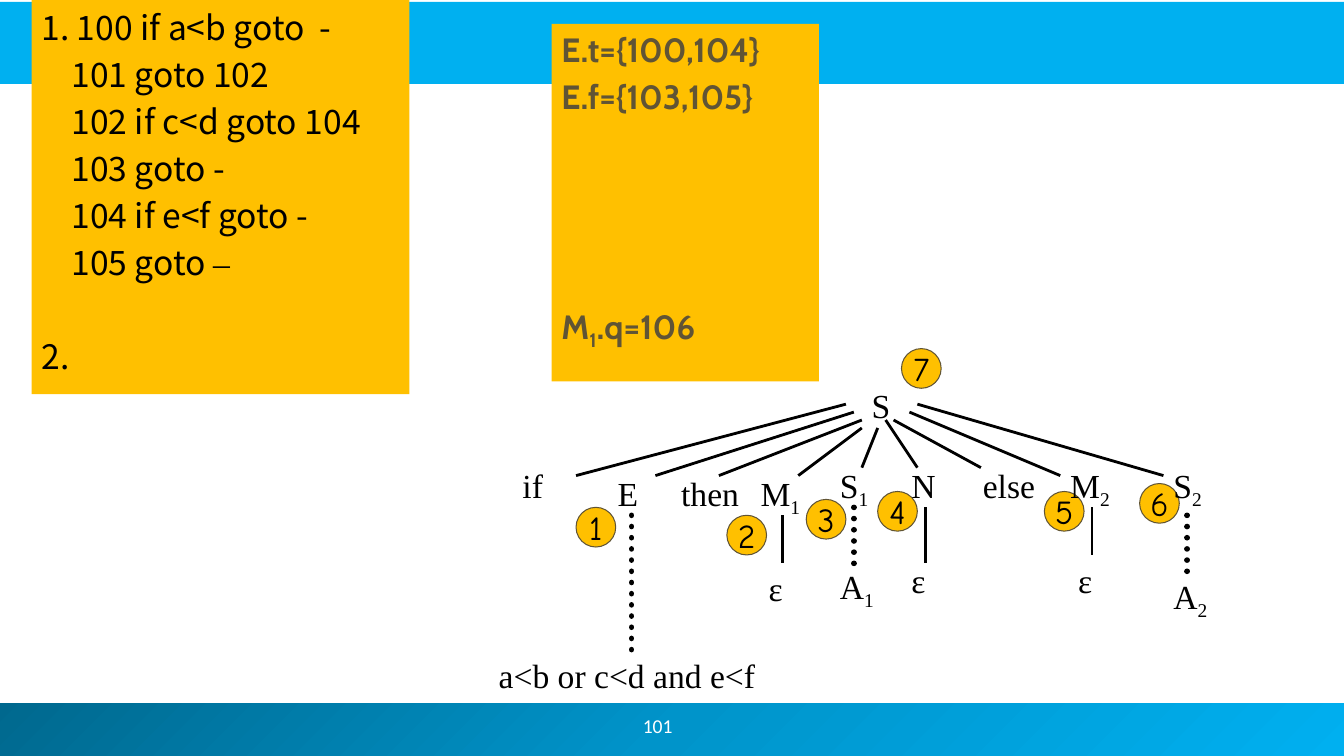
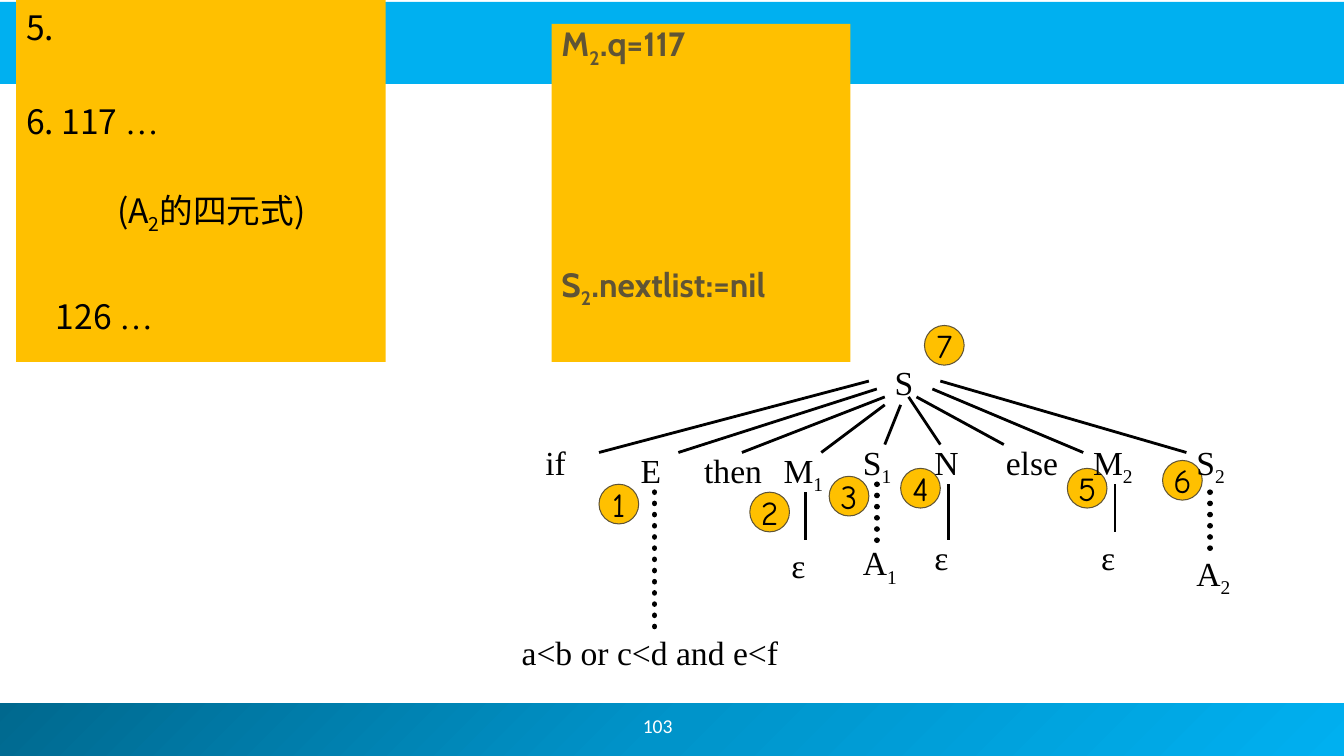
from copy import deepcopy
from dataclasses import dataclass

from lxml.etree import SubElement
from pptx import Presentation
from pptx.dml.color import RGBColor
from pptx.enum.dml import MSO_LINE
from pptx.enum.shapes import MSO_CONNECTOR, MSO_SHAPE
from pptx.enum.text import MSO_ANCHOR, PP_ALIGN
from pptx.oxml.ns import qn
from pptx.util import Pt

COLORS = {
    "sky": "00B0F0", "blue": "0094CA", "deep": "00688E", "amber": "FFC000",
    "olive": "605435", "black": "000000", "white": "FFFFFF",
}
SERIF, CODE, NOTE = "Times New Roman", "Noto Sans CJK JP", "Cabin"
SERIF_MARKS = "…–"
LINE, GAP = 28.8, 4.8  # line height and space between lines of a panel
STEP = 5.67            # grid unit of the syntax tree


@dataclass(frozen=True)
class Row:
    text: str            # "_" lowers the next character
    indent: float = 0
    skip: float = 0      # free rows above


@dataclass(frozen=True)
class Panel:
    left: float
    top: float
    width: float
    height: float
    font: str
    color: str
    rows: tuple[Row, ...]
    bold: bool = False
    inset: float = 3.6


@dataclass(frozen=True)
class Page:
    number: str
    panels: tuple[Panel, ...]
    origin: tuple[float, float]  # where the tree grid starts


@dataclass(frozen=True)
class Label:
    text: str
    column: float
    row: float
    width: int


@dataclass(frozen=True)
class Branch:
    start: tuple[int, int]
    end: tuple[int, int]
    dotted: bool = False


# Syntax tree, in grid steps
LABELS = (
    Label("S", 0, -3, 8),
    Label("if", -44, 7, 6), Label("E", -32, 8, 11), Label("then", -24, 8, 11),
    Label("M_1", -14, 8, 9), Label("S_1", -4, 7, 9), Label("N", 5, 7, 8),
    Label("else", 14, 7, 11), Label("M_2", 25, 7, 10), Label("S_2", 38, 7, 10),
    Label("a<b or c<d and e<f", -47, 31, 38), Label("ε", -13, 20, 7),
    Label("A_1", -4, 19.7, 10), Label("ε", 5, 19, 7),
    Label("ε", 26, 19, 7), Label("A_2", 38, 21, 10),
)
BRANCHES = (
    Branch((-2, 0), (-36, 9)), Branch((-1, 1), (-26, 9)),
    Branch((0, 2), (-18, 9)), Branch((0, 3), (-8, 9)),
    Branch((2, 3), (0, 8)), Branch((3, 2), (7, 8)),
    Branch((4, 2), (15, 8)), Branch((6, 1), (25, 9)),
    Branch((7, 0), (38, 9)),
    Branch((-10, 14), (-10, 20)), Branch((8, 13), (8, 20)),
    Branch((29, 13), (29, 19)),
    Branch((-29, 14), (-29, 31), True), Branch((-1, 13), (-1, 21), True),
    Branch((41, 14), (41, 22), True),
)
# Reduction order: steps 1 to 7
BADGES = ((-36, 13), (-17, 14), (-7, 12), (2, 11), (23, 11), (35, 10), (5, -7))

PAGES = (
    Page("101", (
        Panel(22.5, 0, 270, 281.5, CODE, "black", (
            Row("1. 100 if a<b goto  -"),
            Row("101 goto 102", 21.4),
            Row("102 if c<d goto 104", 21.4),
            Row("103 goto -", 21.4),
            Row("104 if e<f goto -", 21.4),
            Row("105 goto –", 21.4),
            Row("2.", skip=1),
        ), inset=5),
        Panel(394, 17, 191, 255.5, NOTE, "olive", (
            Row("E.t={100,104}"),
            Row("E.f={103,105}"),
            Row("M_1.q=106", skip=4),
        ), bold=True),
    ), (615.6, 288.7)),
    Page("103", (
        Panel(11.5, 0, 264, 258.5, CODE, "black", (
            Row("5."),
            Row("6. 117 …", skip=1),
            Row("(A_2的四元式)", 65, 1),
            Row("126 …", 21.4, 1.13),
        ), inset=5),
        Panel(394, 17, 213.5, 241.5, NOTE, "olive", (
            Row("M_2.q=117"),
            Row("S_2.nextlist:=nil", skip=4.12),
        ), bold=True),
    ), (632, 272.2)),
)


def rgb(name: str) -> RGBColor:
    return RGBColor.from_string(COLORS[name])


def split_spans(text: str) -> list[tuple[str, str]]:
    """Cut text into (kind, characters): plain, sub or serif."""
    pieces: list[tuple[str, str]] = []
    lowered = False
    for char in text:
        if char == "_":
            lowered = True
            continue
        kind = "sub" if lowered else "serif" if char in SERIF_MARKS else "plain"
        lowered = False
        if pieces and pieces[-1][0] == kind:
            pieces[-1] = (kind, pieces[-1][1] + char)
        else:
            pieces.append((kind, char))
    return pieces


def write(para, text: str, *, font: str = SERIF, size: float = 24,
          color: str = "black", bold: bool = False, align=PP_ALIGN.LEFT) -> None:
    para.alignment = align
    for kind, piece in split_spans(text):
        span = para.add_run()
        span.text = piece
        face = SERIF if kind == "serif" else font
        span.font.name = face
        span.font.size = Pt(size)
        span.font.bold = bold
        span.font.color.rgb = rgb(color)
        properties = span._r.get_or_add_rPr()
        SubElement(properties, qn("a:ea")).set("typeface", face)
        if kind == "sub":
            properties.set("baseline", "-25000")


def add_block(page, left: float, top: float, width: float, height: float,
              color: str, preset=MSO_SHAPE.RECTANGLE):
    block = page.shapes.add_shape(preset, Pt(left), Pt(top), Pt(width), Pt(height))
    block.shadow.inherit = False
    block.fill.solid()
    block.fill.fore_color.rgb = rgb(color)
    block.line.fill.background()
    return block


def add_text(page, left: float, top: float, width: float, height: float,
             text: str, anchor=MSO_ANCHOR.TOP, **style) -> None:
    box = page.shapes.add_textbox(Pt(left), Pt(top), Pt(width), Pt(height))
    frame = box.text_frame
    frame.word_wrap = True
    frame.vertical_anchor = anchor
    write(frame.paragraphs[0], text, **style)


def add_bands(page, number: str) -> None:
    footer = add_block(page, -3.6, 502.5, 964, 37.5, "sky")
    footer.fill.gradient()
    footer.fill.gradient_angle = 315
    stop_list = footer._element.spPr.find(qn("a:gradFill")).find(qn("a:gsLst"))
    stop_list.insert(1, deepcopy(stop_list[0]))
    for stop, place, color in zip(footer.fill.gradient_stops, (0, 0.5, 1),
                                  ("deep", "blue", "sky")):
        stop.position = place
        stop.color.rgb = rgb(color)
    add_block(page, -1.4, 1.4, 962, 58.5, "sky")
    add_text(page, 365.8, 500.4, 208, 36, number, MSO_ANCHOR.MIDDLE,
             font="Calibri", size=14, color="white", align=PP_ALIGN.CENTER)


def add_panel(page, panel: Panel) -> None:
    block = add_block(page, panel.left, panel.top, panel.width, panel.height, "amber")
    frame = block.text_frame
    frame.word_wrap = True
    frame.vertical_anchor = MSO_ANCHOR.TOP
    frame.margin_top = Pt(panel.inset)
    for index, row in enumerate(panel.rows):
        para = frame.add_paragraph() if index else frame.paragraphs[0]
        para.line_spacing = Pt(LINE)
        if index:
            para.space_before = Pt(round(GAP + row.skip * (LINE + GAP), 1))
        para._p.get_or_add_pPr().set("marL", str(Pt(row.indent)))
        write(para, row.text, font=panel.font, color=panel.color, bold=panel.bold)


def add_branch(page, start: tuple[float, float], end: tuple[float, float],
               dotted: bool) -> None:
    line = page.shapes.add_connector(MSO_CONNECTOR.STRAIGHT,
                                     *(Pt(value) for value in (*start, *end)))
    line.line.color.rgb = rgb("black")
    line.line.width = Pt(4 if dotted else 2)
    if dotted:
        line.line.dash_style = MSO_LINE.ROUND_DOT
        line.line._get_or_add_ln().set("cap", "rnd")
    SubElement(line._element.spPr, qn("a:effectLst"))


def add_badge(page, left: float, top: float, number: int) -> None:
    badge = add_block(page, left, top, 5 * STEP, 5 * STEP, "amber", MSO_SHAPE.OVAL)
    badge.line.color.rgb = rgb("olive")
    badge.line.width = Pt(0.75)
    frame = badge.text_frame
    frame.word_wrap = False
    frame.vertical_anchor = MSO_ANCHOR.MIDDLE
    write(frame.paragraphs[0], str(number), font="Comic Neue", align=PP_ALIGN.CENTER)


def add_tree(page, origin: tuple[float, float]) -> None:
    def place(column: float, row: float) -> tuple[float, float]:
        return origin[0] + column * STEP, origin[1] + row * STEP

    for number, spot in enumerate(BADGES, start=1):
        add_badge(page, *place(*spot), number)
    for label in LABELS:
        add_text(page, *place(label.column, label.row), label.width * STEP, 36,
                 label.text)
    for branch in BRANCHES:
        add_branch(page, place(*branch.start), place(*branch.end), branch.dotted)


def main() -> None:
    deck = Presentation()
    deck.slide_width, deck.slide_height = Pt(960), Pt(540)
    for content in PAGES:
        page = deck.slides.add_slide(deck.slide_layouts[6])
        add_bands(page, content.number)
        for panel in content.panels:
            add_panel(page, panel)
        add_tree(page, content.origin)
    deck.save("out.pptx")


if __name__ == "__main__":
    main()
